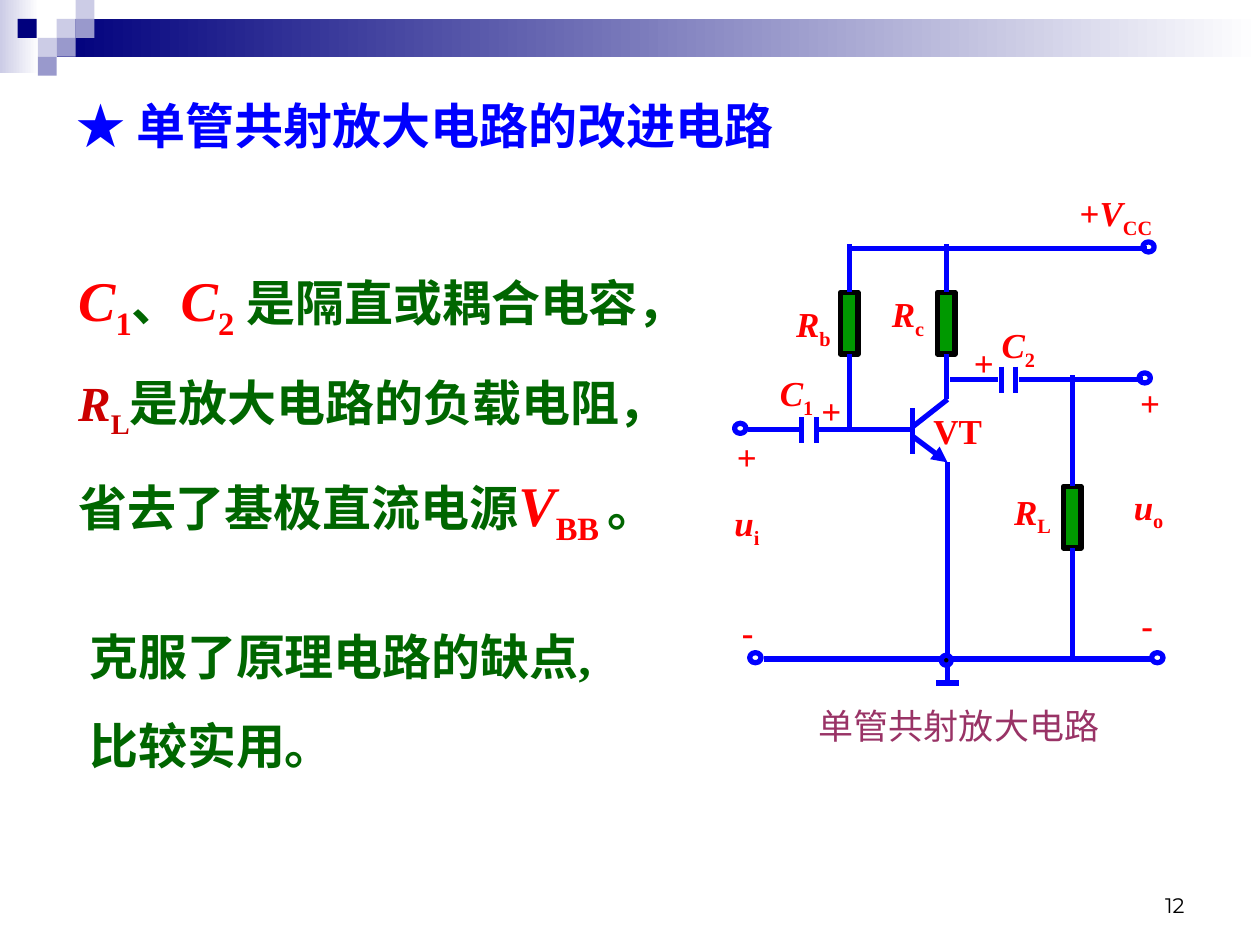
from lxml.etree import SubElement
from pptx import Presentation
from pptx.dml.color import RGBColor
from pptx.enum.shapes import MSO_CONNECTOR, MSO_SHAPE
from pptx.enum.text import MSO_ANCHOR, MSO_AUTO_SIZE, PP_ALIGN
from pptx.oxml.ns import qn
from pptx.util import Inches, Pt

NAVY = RGBColor(0x00, 0x00, 0x7D)
LAVENDER = RGBColor(0xCC, 0xCC, 0xE6)
PERIWINKLE = RGBColor(0x99, 0x99, 0xCC)
WHITE = RGBColor(0xFF, 0xFF, 0xFF)
BLACK = RGBColor(0x00, 0x00, 0x00)
BLUE = RGBColor(0x00, 0x00, 0xFF)
RED = RGBColor(0xFF, 0x00, 0x00)
DARK_RED = RGBColor(0xCC, 0x00, 0x00)
TEXT_GREEN = RGBColor(0x00, 0x66, 0x00)
RESISTOR_GREEN = RGBColor(0x00, 0x99, 0x00)
PLUM = RGBColor(0x99, 0x33, 0x66)
SERIF = "Times New Roman"
SANS = "Noto Sans CJK SC"


def write_spans(para, spans, font=SERIF, bold=True):
    for text, size, color, style in spans:
        span = para.add_run()
        span.text = text
        span.font.size = Pt(size)
        span.font.bold = bold
        span.font.italic = style == "italic"
        span.font.color.rgb = color
        span.font.name = font
        if style == "sub":
            span.font._element.set("baseline", "-25000")


def add_wire(start, end):
    points = [Inches(value) for value in (*start, *end)]
    wire = page.shapes.add_connector(MSO_CONNECTOR.STRAIGHT, *points)
    wire.line.color.rgb = BLUE
    wire.line.width = Pt(3)
    SubElement(wire._element.spPr, qn("a:effectLst"))
    return wire


deck = Presentation()
deck.slide_width = Inches(10)
deck.slide_height = Inches(7.5)
page = deck.slides.add_slide(deck.slide_layouts[1])

for left, top, width, height, color, fades in [
    (0, 0, 0.31, 0.58, LAVENDER, True),
    (0.45, 0.15, 9.55, 0.3, NAVY, True),
    (0.45, 0.15, 0.15, 0.15, LAVENDER, False),
    (0.6, 0, 0.15, 0.15, LAVENDER, False),
    (0.6, 0.15, 0.15, 0.15, PERIWINKLE, False),
    (0.3, 0.3, 0.15, 0.15, LAVENDER, False),
    (0.14, 0.15, 0.15, 0.15, NAVY, False),
    (0.45, 0.3, 0.15, 0.15, PERIWINKLE, False),
    (0.3, 0.45, 0.15, 0.15, PERIWINKLE, False),
]:
    block = page.shapes.add_shape(
        MSO_SHAPE.RECTANGLE, Inches(left), Inches(top), Inches(width), Inches(height))
    block.shadow.inherit = False
    block.line.fill.background()
    if fades:
        block.fill.gradient()
        block.fill.gradient_angle = 0
        for stop, stop_color in zip(block.fill.gradient_stops, (color, WHITE)):
            stop.color.rgb = stop_color
    else:
        block.fill.solid()
        block.fill.fore_color.rgb = color

title = page.shapes.title
body = page.placeholders[1]
for box, left, top, width, height in [
    (title, 0.51, 0.71, 7.11, 0.57),
    (body, 0.52, 2.06, 5.43, 2.33),
]:
    box.left, box.top = Inches(left), Inches(top)
    box.width, box.height = Inches(width), Inches(height)
    box.text_frame.word_wrap = True
    box.text_frame.auto_size = MSO_AUTO_SIZE.NONE
    box.text_frame.vertical_anchor = MSO_ANCHOR.TOP

title_para = title.text_frame.paragraphs[0]
title_para.alignment = PP_ALIGN.LEFT
write_spans(title_para, [("★ ", 28, BLUE, "")], font=SANS)
write_spans(title_para, [("单管共射放大电路的改进电路", 28, BLUE, "")])

body_lines = [
    [("C", 32, RED, "italic"), ("1", 32, RED, "sub"), ("、", 28, TEXT_GREEN, ""),
     ("C", 32, RED, "italic"), ("2", 32, RED, "sub"),
     (" 是隔直或耦合电容，", 28, TEXT_GREEN, "")],
    [("R", 28, DARK_RED, "italic"), ("L", 28, DARK_RED, "sub"),
     ("是放大电路的负载电阻，", 28, TEXT_GREEN, "")],
    [("省去了基极直流电源", 28, TEXT_GREEN, ""), ("V", 32, RED, "italic"),
     ("BB ", 32, RED, "sub"), ("。", 28, TEXT_GREEN, "")],
]
remark = page.shapes.add_textbox(Inches(0.61), Inches(4.92), Inches(4.28), Inches(1.28))
remark.text_frame.word_wrap = True
remark_lines = [[(text, 28, TEXT_GREEN, "")] for text in ("克服了原理电路的缺点,", "比较实用。")]
for box, lines in [(body, body_lines), (remark, remark_lines)]:
    for index, spans in enumerate(lines):
        para = box.text_frame.add_paragraph() if index else box.text_frame.paragraphs[0]
        properties = para._p.get_or_add_pPr()
        properties.set("marL", "0")
        properties.set("indent", "0")
        SubElement(properties, qn("a:buNone"))
        para.space_before = Pt(17.5 if index else 0)
        write_spans(para, spans)

resistors = {}
for name, left, top in [("Rb", 6.67, 2.32), ("Rc", 7.44, 2.32), ("RL", 8.44, 3.86)]:
    resistor = page.shapes.add_shape(
        MSO_SHAPE.RECTANGLE, Inches(left), Inches(top), Inches(0.14), Inches(0.49))
    resistor.shadow.inherit = False
    resistor.fill.solid()
    resistor.fill.fore_color.rgb = RESISTOR_GREEN
    resistor.line.color.rgb = BLACK
    resistor.line.width = Pt(3)
    resistors[name] = resistor

for name, site, end in [
    ("Rb", 0, (6.74, 1.94)), ("Rb", 2, (6.74, 3.43)),
    ("Rc", 0, (7.51, 1.94)), ("Rc", 2, (7.51, 3.17)),
    ("RL", 0, (8.51, 2.98)), ("RL", 2, (8.51, 5.23)),
]:
    add_wire(end, end).end_connect(resistors[name], site)

for start, end in [
    ((6.74, 1.97), (9.1, 1.97)),
    ((7.52, 3.67), (7.52, 5.44)),
    ((7.43, 5.42), (7.61, 5.42)),
    ((7.24, 3.24), (7.24, 3.6)),
    ((7.24, 3.39), (7.52, 3.17)),
    ((6.5, 3.41), (7.24, 3.41)),
    ((5.94, 3.41), (6.36, 3.41)),
    ((7.54, 3.01), (7.92, 3.01)),
    ((8.09, 3.01), (9.07, 3.01)),
    ((6.06, 5.23), (9.15, 5.23)),
]:
    add_wire(start, end)

for plate_x, plate_top in [(6.36, 3.31), (6.48, 3.31), (7.95, 2.91), (8.06, 2.91)]:
    add_wire((plate_x, plate_top), (plate_x, plate_top + 0.21))

emitter = add_wire((7.24, 3.46), (7.52, 3.67))
SubElement(emitter.line._get_or_add_ln(), qn("a:tailEnd"), type="triangle")

for left, top, width, filled in [
    (9.04, 2.96, 0.09, False), (9.07, 1.92, 0.09, False), (5.95, 5.18, 0.09, False),
    (9.14, 5.18, 0.09, False), (5.83, 3.36, 0.09, False), (7.47, 5.2, 0.08, True),
]:
    terminal = page.shapes.add_shape(
        MSO_SHAPE.OVAL, Inches(left), Inches(top), Inches(width), Inches(0.08))
    terminal.shadow.inherit = False
    terminal.line.color.rgb = BLUE
    terminal.line.width = Pt(3)
    if filled:
        terminal.fill.solid()
        terminal.fill.fore_color.rgb = BLACK
    else:
        terminal.fill.background()

for left, top, width, plain, symbol, subscript in [
    (6.22, 2.35, 0.73, "", "R", "b"), (6.98, 2.27, 0.8, "", "R", "c"),
    (7.95, 3.84, 0.64, "", "R", "L"), (6.09, 2.9, 0.59, "", "C", "1"),
    (7.85, 2.52, 0.59, "", "C", "2"), (8.47, 1.47, 0.94, "+", "V", "CC"),
    (5.73, 3.93, 0.71, "", "u", "i"), (8.9, 3.8, 0.5, "", "u", "o"),
    (7.31, 3.2, 0.78, "VT", "", ""), (8.95, 2.98, 0.41, "+", "", ""),
    (5.75, 3.41, 0.41, "+", "", ""), (6.42, 3.04, 0.41, "+", "", ""),
    (7.63, 2.66, 0.41, "+", "", ""), (8.96, 4.74, 0.48, "-", "", ""),
    (5.79, 4.8, 0.48, "-", "", ""),
]:
    label = page.shapes.add_textbox(
        Inches(left), Inches(top), Inches(width), Inches(0.48 if subscript else 0.44))
    label.text_frame.word_wrap = True
    spans = [(plain, 20, RED, ""), (symbol, 20, RED, "italic"), (subscript, 20, RED, "sub")]
    write_spans(label.text_frame.paragraphs[0], [item for item in spans if item[0]])

caption = page.shapes.add_textbox(Inches(6.4), Inches(5.54), Inches(2.77), Inches(0.44))
caption.text_frame.word_wrap = True
write_spans(caption.text_frame.paragraphs[0],
            [("单管共射放大电路", 20, PLUM, "")], font=SANS, bold=False)

number = page.shapes.add_textbox(Inches(7.17), Inches(6.83), Inches(2.33), Inches(0.5))
number.text_frame.word_wrap = True
number.text_frame.vertical_anchor = MSO_ANCHOR.BOTTOM
number_para = number.text_frame.paragraphs[0]
number_para.alignment = PP_ALIGN.RIGHT
write_spans(number_para, [("12", 12, BLACK, "")], font="Montserrat", bold=False)

deck.save("out.pptx")
